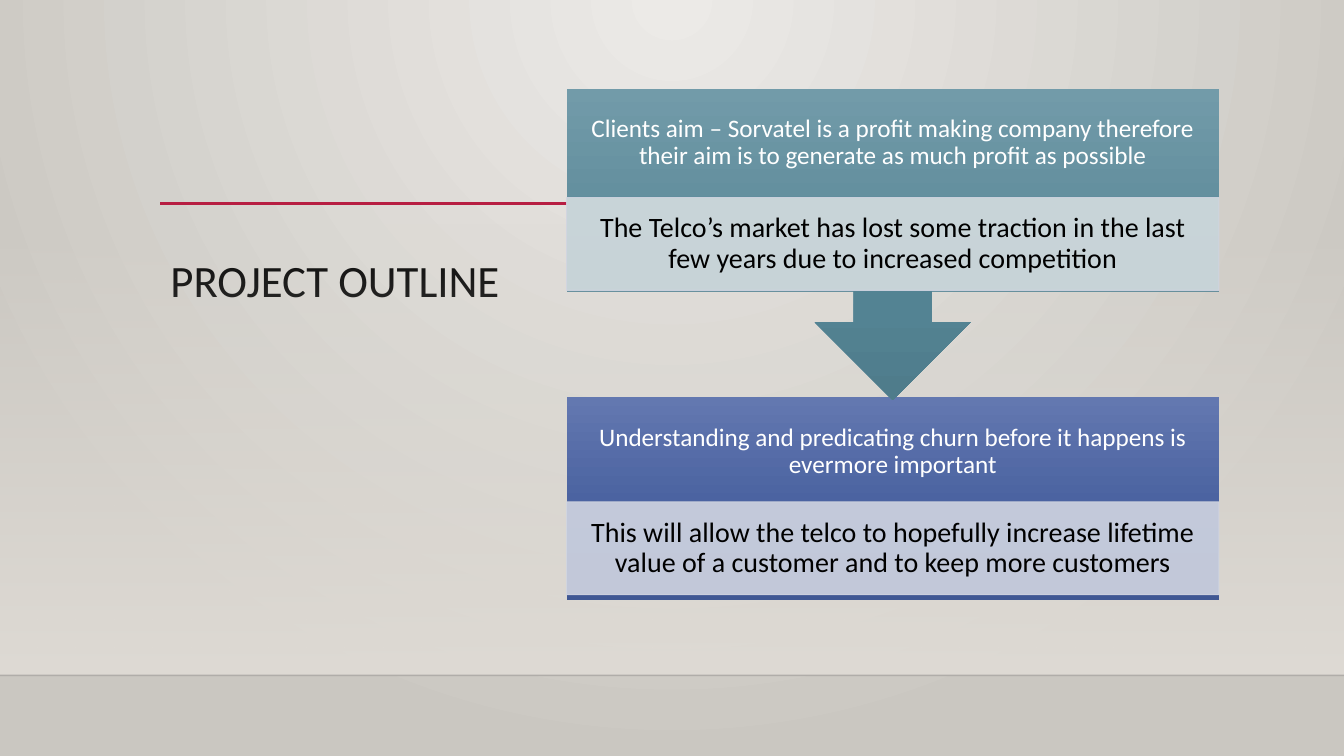
from lxml import etree
from pptx import Presentation, util as u
from pptx.dml.color import RGBColor
from pptx.enum import shapes, text
from pptx.oxml import ns

# Content
TITLE = "PROJECT OUTLINE"
STEPS = [
    dict(head="Clients aim – Sorvatel is a profit making company therefore "
              "their aim is to generate as much profit as possible",
         body="The Telco’s market has lost some traction in the last few "
              "years due to increased competition",
         kind="DOWN_ARROW_CALLOUT", fill="teal", tint="mist",
         top=0.88, high=3.09),
    dict(head="Understanding and predicating churn before it happens is "
              "evermore important",
         body="This will allow the telco to hopefully increase lifetime "
              "value of a customer and to keep more customers",
         kind="RECTANGLE", fill="blue", tint="lilac",
         top=3.94, high=2.01),
]

# Look: gradient stops are (place, colour, opacity), all in percent
HEX = dict(black="000000", white="FFFFFF", red="B71E42", edge="D1D5E1",
           mist="D4DCDF", lilac="D1D5E1", rule="000001")
GRADS = dict(
    wall=[(0, "ECEAE7", 100), (100, "CAC7C1", 100)],
    glow=[(0, "DFDBD5", 0), (100, "DFDBD5", 100)],
    teal=[(0, "729BA9", 100), (69, "538393", 100), (100, "4F7C8B", 100)],
    blue=[(0, "6378B0", 100), (69, "425B9B", 100), (100, "3F5793", 100)],
)
FONT = "Calibri"
WIDE, TALL = 13.33, 7.5
FLOOR = 6.7             # line between wall and floor
GLOW = 2.21             # top of the wall's lower glow
EDGE, BAR = 1.59, 2.02  # left margin and the red bar's height
LEFT, SPAN = 5.62, 6.47  # the column of steps
HEAD, BODY = 1.08, 0.92  # row heights within a step
DOWN = '<a:lin ang="5400000" scaled="0"/>'
ROUND = ('<a:path path="circle"><a:fillToRect l="43000" t="0" '
         'r="43000" b="100000"/></a:path>')


def rgb(name):
    return RGBColor.from_string(HEX[name])


def fade(color, share):
    """Set the opacity of a colour element, in percent."""
    etree.SubElement(color, ns.qn("a:alpha")).set("val", str(share * 1000))


def blend(owner, name, way=DOWN):
    """Swap the first solid fill in an element for a gradient."""
    stops = "".join(
        f'<a:gs pos="{pos * 1000}"><a:srgbClr val="{hue}">'
        f'<a:alpha val="{share * 1000}"/></a:srgbClr></a:gs>'
        for pos, hue, share in GRADS[name])
    grad = etree.fromstring(
        f'<a:gradFill {ns.nsdecls("a")} rotWithShape="1">'
        f'<a:gsLst>{stops}</a:gsLst>{way}</a:gradFill>')
    old = next(owner.iter(ns.qn("a:solidFill")))
    old.getparent().replace(old, grad)


def block(kind, x, y, w, h):
    form = slide.shapes.add_shape(getattr(shapes.MSO_SHAPE, kind),
                                  *map(u.Inches, (x, y, w, h)))
    form.shadow.inherit = False
    form.fill.solid()
    form.line.fill.background()
    return form


def rule(x, y, end, hue, size, share=100):
    line = slide.shapes.add_connector(
        shapes.MSO_CONNECTOR.STRAIGHT, *map(u.Inches, (x, y, end, y)))
    line.line.color.rgb = rgb(hue)
    line.line.width = u.Pt(size)
    props = line.element.spPr
    fade(next(props.iter(ns.qn("a:srgbClr"))), share)
    etree.SubElement(props, ns.qn("a:effectLst"))


def write(form, words, size, hue, side="CENTER", rise="MIDDLE",
          pad=(0.1, 0.05)):
    frame = form.text_frame
    frame.word_wrap = True
    frame.auto_size = text.MSO_AUTO_SIZE.NONE
    frame.vertical_anchor = getattr(text.MSO_ANCHOR, rise)
    frame.margin_left = frame.margin_right = u.Inches(pad[0])
    frame.margin_top = frame.margin_bottom = u.Inches(pad[1])
    para = frame.paragraphs[0]
    para.alignment = getattr(text.PP_ALIGN, side)
    para.line_spacing = 0.9
    run = para.add_run()
    run.text = words
    run.font.name, run.font.size = FONT, u.Pt(size)
    run.font.color.rgb = rgb(hue)


deck = Presentation()
deck.slide_width, deck.slide_height = u.Inches(WIDE), u.Inches(TALL)
slide = deck.slides.add_slide(deck.slide_layouts[5])

# Wall, floor and red bar
slide.background.fill.solid()
blend(slide.element, "wall", ROUND)
blend(block("RECTANGLE", 0, GLOW, WIDE, FLOOR - GLOW).element, "glow")
rule(0, FLOOR, WIDE, "rule", 1, 20)
rule(EDGE, BAR, LEFT + SPAN, "red", 2.5)

# Title
title = slide.shapes.title
title.left, title.top = u.Inches(EDGE), u.Inches(2.52)
title.width, title.height = u.Inches(3.58), u.Inches(2.92)
write(title, TITLE, 32, "black", "LEFT", "TOP")

# Steps, lowest first so that the arrow overlaps the next step
for step in reversed(STEPS):
    top = step["top"]
    back = block(step["kind"], LEFT, top, SPAN, step["high"])
    blend(back.element, step["fill"])
    head = slide.shapes.add_textbox(
        *map(u.Inches, (LEFT, top, SPAN, HEAD)))
    write(head, step["head"], 18, "white", pad=(0.14, 0.14))

    # Both body rows end a little above the foot of their box
    row = top + (HEAD if step["fill"] == "teal" else HEAD - 0.04)
    body = block("RECTANGLE", LEFT, row, SPAN, BODY)
    body.fill.fore_color.rgb = rgb(step["tint"])
    body.line.color.rgb = rgb("edge")
    body.line.width = u.Pt(0.75)
    for color in body.element.spPr.iter(ns.qn("a:srgbClr")):
        fade(color, 90)
    write(body, step["body"], 20, "black", pad=(0.16, 0.03))

deck.save("out.pptx")
